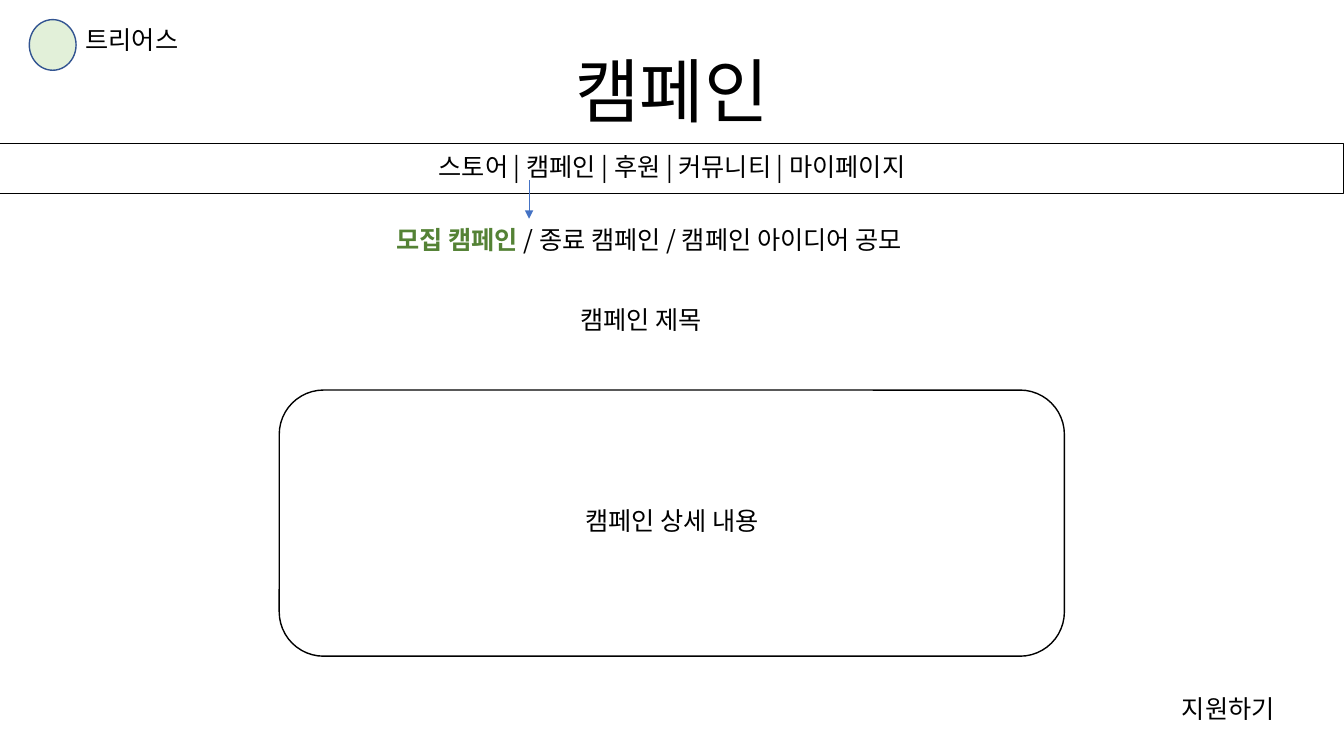
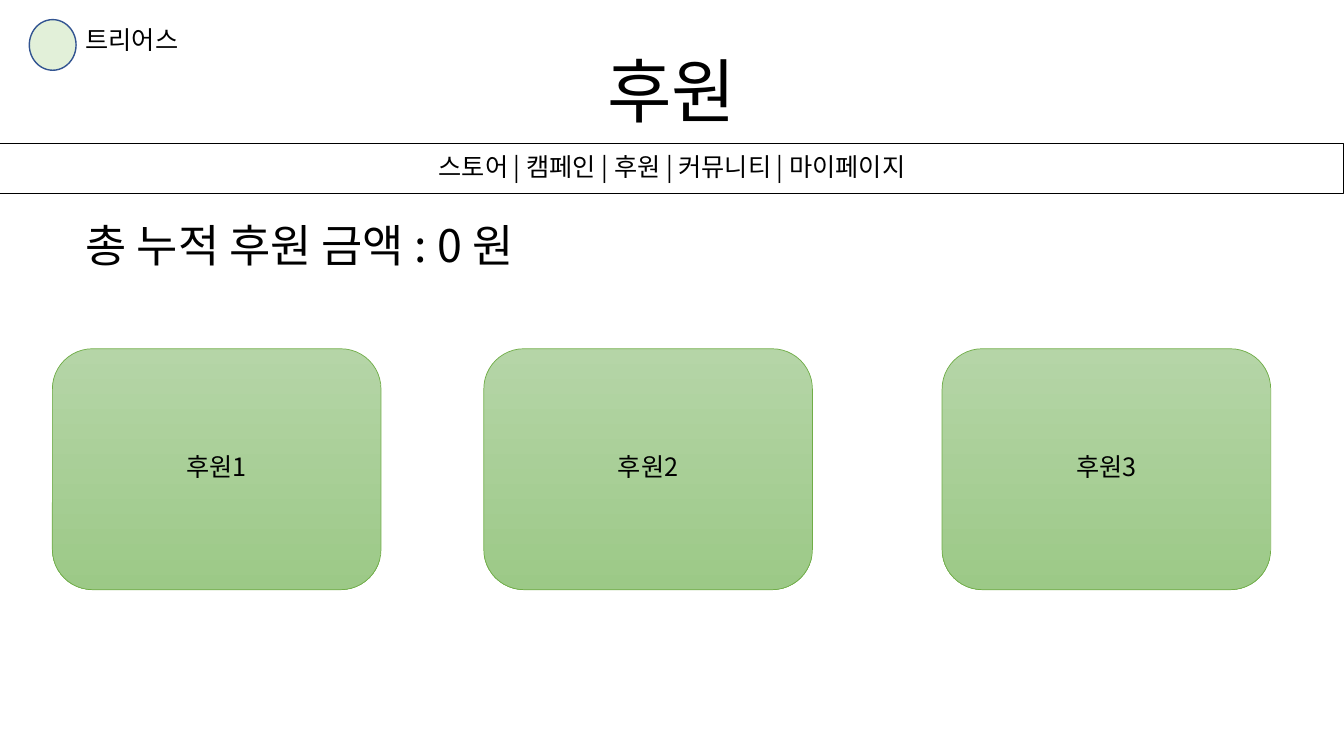
from lxml.etree import SubElement
from pptx import Presentation
from pptx.dml.color import RGBColor
from pptx.enum.shapes import MSO_CONNECTOR, MSO_SHAPE
from pptx.enum.text import MSO_ANCHOR, MSO_AUTO_SIZE, PP_ALIGN
from pptx.oxml.ns import qn
from pptx.util import Inches, Pt

WIDTH, HEIGHT = Inches(13.333), Inches(7.5)
FONT = "Noto Sans CJK KR"
LINE_SPACING = 0.85
COLORS = {
    "ink": "000000",
    "paper": "FFFFFF",
    "accent": "548235",
    "emblem": "E2F0D9",
    "emblem_edge": "325491",
    "arrow": "4472C4",
    "card_top": "B5D5A7",
    "card_bottom": "9CC987",
    "card_edge": "70AD47",
}
MENU = ["스토어", "캠페인", "후원", "커뮤니티", "마이페이지"]
CAMPAIGN_TABS = ["모집 캠페인 ", "/ 종료 캠페인 / 캠페인 아이디어 공모"]
CARD_LEFTS = [3.9, 36, 70.1]


def color(key):
    """Return the palette colour called key."""
    return RGBColor.from_string(COLORS[key])


def across(percent):
    """Return a share of the slide width."""
    return int(WIDTH * percent / 100)


def down(percent):
    """Return a share of the slide height."""
    return int(HEIGHT * percent / 100)


def area(left, top, width, height):
    """Turn percentages of the slide into a position and size."""
    return across(left), down(top), across(width), down(height)


def style_run(run, size, ink="ink", bold=False):
    """Format one run for Latin and Korean text."""
    run.font.name = FONT
    run.font.size = Pt(size)
    run.font.bold = bold
    run.font.color.rgb = color(ink)
    SubElement(run.font._element, qn("a:ea"), typeface=FONT)


def write(shape, text, size=18, align=PP_ALIGN.LEFT, anchor=MSO_ANCHOR.TOP):
    """Put one formatted paragraph into a shape."""
    frame = shape.text_frame
    frame.text = text
    frame.word_wrap = True
    frame.auto_size = MSO_AUTO_SIZE.NONE
    frame.vertical_anchor = anchor
    paragraph = frame.paragraphs[0]
    paragraph.alignment = align
    paragraph.line_spacing = LINE_SPACING
    for run in paragraph.runs:
        style_run(run, size)
    return paragraph


def add_label(slide, text, place, size=18):
    """Add a left-aligned text box."""
    return write(slide.shapes.add_textbox(*area(*place)), text, size)


def add_panel(slide, preset, place, edge="ink", weight=1, fill=None, text=""):
    """Add an outlined shape with an optional fill and centred text."""
    panel = slide.shapes.add_shape(preset, *area(*place))
    panel.shadow.inherit = False
    panel.line.color.rgb = color(edge)
    panel.line.width = Pt(weight)
    if fill:
        panel.fill.solid()
        panel.fill.fore_color.rgb = color(fill)
    else:
        panel.fill.background()
    if text:
        write(panel, text, align=PP_ALIGN.CENTER, anchor=MSO_ANCHOR.MIDDLE)
    return panel


def add_card(slide, left, text):
    """Add a rounded card with a vertical green gradient."""
    card = add_panel(slide, MSO_SHAPE.ROUNDED_RECTANGLE, (left, 46.13, 24.45, 31.87),
                     "card_edge", 0.5, text=text)
    card.fill.gradient()
    card.fill.gradient_angle = 270
    for stop, key in zip(card.fill.gradient_stops, ("card_top", "card_bottom")):
        stop.color.rgb = color(key)


def add_down_arrow(slide, x, top, bottom):
    """Add a thin arrow pointing down."""
    arrow = slide.shapes.add_connector(
        MSO_CONNECTOR.STRAIGHT, across(x), down(top), across(x), down(bottom))
    arrow.line.color.rgb = color("arrow")
    arrow.line.width = Pt(0.5)
    SubElement(arrow.line._get_or_add_ln(), qn("a:tailEnd"), type="triangle")
    SubElement(arrow._element.spPr, qn("a:effectLst"))


def add_page(deck, heading):
    """Add a slide with the shared title, brand and menu bar."""
    slide = deck.slides.add_slide(deck.slide_layouts[5])
    title = slide.shapes.title
    title.left, title.top, title.width, title.height = area(28.75, 7.33, 42.5, 12.53)
    write(title, heading, 50, PP_ALIGN.CENTER)
    add_panel(slide, MSO_SHAPE.OVAL, (2.18, 2.6, 3.48, 6.7), "emblem_edge", fill="emblem")
    add_label(slide, "트리어스", (5.63, 3.2, 16, 5.33))
    add_panel(slide, MSO_SHAPE.RECTANGLE, (0, 18.93, 100, 6.67), weight=0.75,
              text=" | ".join(MENU))
    return slide


def build_campaign(deck):
    """Build the campaign page."""
    slide = add_page(deck, "캠페인")
    current, others = CAMPAIGN_TABS
    tabs = add_label(slide, current, (28.75, 29.6, 47.85, 5.33))
    style_run(tabs.runs[0], 18, "accent", True)
    other_tabs = tabs.add_run()
    other_tabs.text = others
    style_run(other_tabs, 18)
    add_down_arrow(slide, 39.37, 23.87, 28.93)
    add_label(slide, "캠페인 제목", (42.45, 40.27, 11.6, 5.33))
    add_panel(slide, MSO_SHAPE.ROUNDED_RECTANGLE, (20.78, 51.6, 58.42, 35.2),
              fill="paper", text="캠페인 상세 내용")
    add_label(slide, "지원하기", (87.2, 91.6, 10.35, 5.33))


def build_sponsorship(deck):
    """Build the sponsorship page."""
    slide = add_page(deck, "후원")
    for number, left in enumerate(CARD_LEFTS, 1):
        add_card(slide, left, f"후원{number}")
    add_label(slide, "총 누적 후원 금액 : 0 원", (5.63, 29.2, 58.5, 8.53), 32)


def main():
    """Build and save the deck."""
    deck = Presentation()
    deck.slide_width, deck.slide_height = WIDTH, HEIGHT
    build_campaign(deck)
    build_sponsorship(deck)
    deck.save("out.pptx")


if __name__ == "__main__":
    main()
